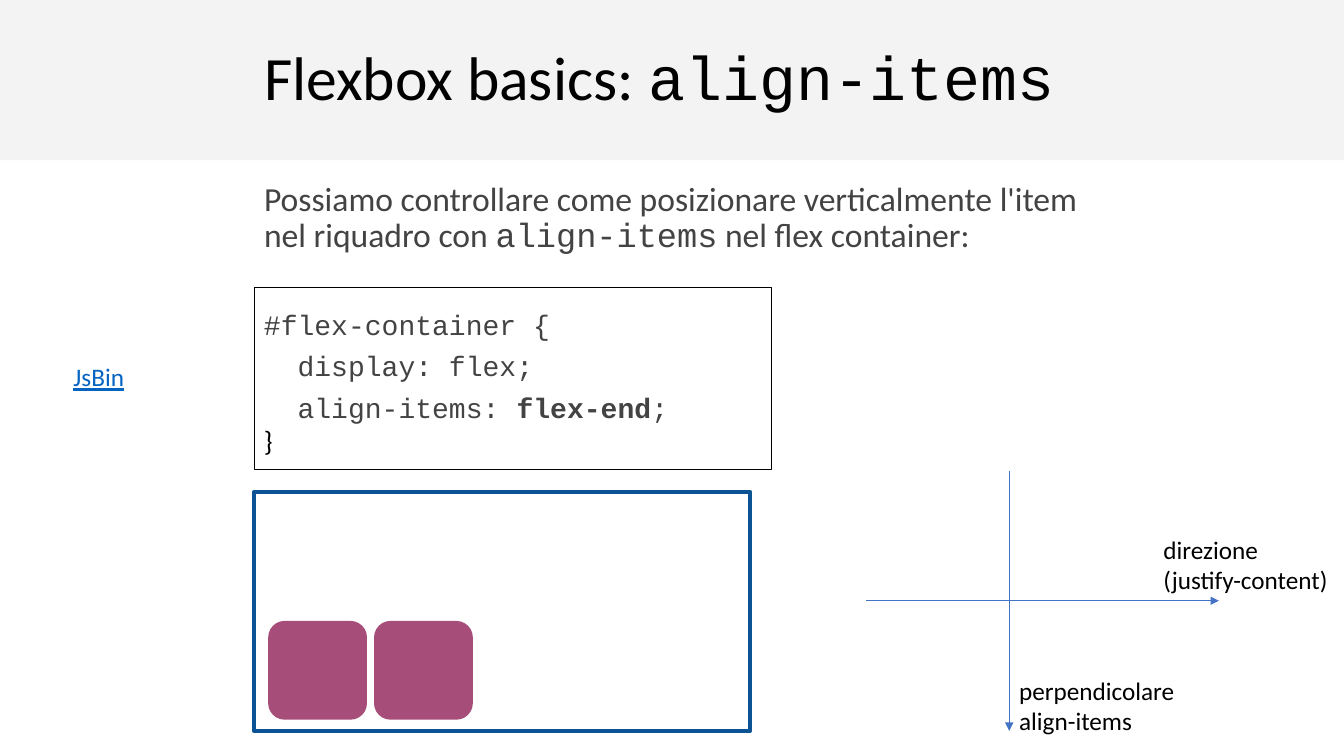
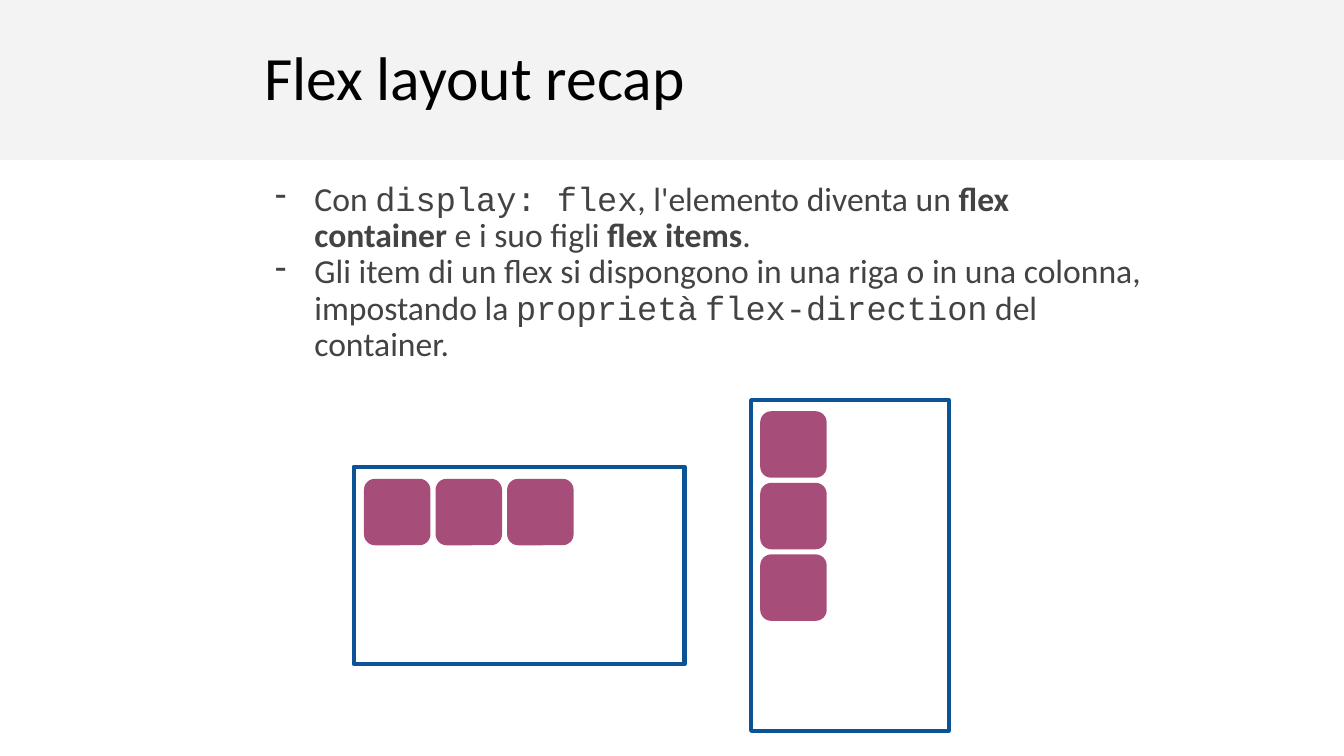
from lxml import etree
from pptx import Presentation
from pptx.dml.color import RGBColor
from pptx.enum.shapes import MSO_CONNECTOR, MSO_SHAPE
from pptx.enum.text import MSO_ANCHOR, PP_ALIGN
from pptx.oxml.ns import qn
from pptx.util import Emu, Pt

RECT, ROUNDED = MSO_SHAPE.RECTANGLE, MSO_SHAPE.ROUNDED_RECTANGLE
STRAIGHT = MSO_CONNECTOR.STRAIGHT
TOP, MIDDLE = MSO_ANCHOR.TOP, MSO_ANCHOR.MIDDLE
LEFT = PP_ALIGN.LEFT

PX = 9144  # 100 px to the inch
WIDTH, HEIGHT = 1333, 750
BLANK = 6
COLORS = {"band": "F3F3F3", "ink": "000000", "body": "434343", "white": "FFFFFF",
          "frame": "0B5394", "item": "A64D79", "link": "0563C1", "axis": "4472C4"}
SANS, MONO = "Calibri", "Courier New"

TITLE = {"size": 44, "color": "ink"}
BODY = {"size": 24, "color": "body"}
CODE = {"size": 20, "color": "body", "font": MONO}
LABEL = {"size": 18, "color": "ink"}
MONO_RUN, BOLD_RUN = {"font": MONO}, {"bold": True}

# A paragraph is a list of (text, changes to the style of its box).
ALIGN = {
    "title": [("Flexbox basics: ", {}), ("align-items", MONO_RUN)],
    "body": [[("Possiamo controllare come posizionare verticalmente l'item nel riquadro con ", {}),
              ("align-items", MONO_RUN), (" nel flex container:", {})]],
    "code": [[("#flex-container {", {})],
             [("  display: flex;", {})],
             [("  align-items: ", {}), ("flex-end", BOLD_RUN), (";", {})]],
    "code_end": [("}", {"font": SANS, "color": "ink"})],
    "labels": [
        ((63, 354, 72, 40), ["JsBin"], {"color": "link", "underline": True}),
        ((1144, 525, 185, 71), ["direzione", "(justify-content)"], {}),
        ((1001, 665, 176, 71), ["perpendicolare", "align-items"], {}),
    ],
    "axes": [(859, 596, 1209, 596), (1001, 467, 1001, 725)],
}
RECAP = {
    "title": [("Flex layout recap", {})],
    "body": [
        [("Con ", {}), ("display: flex", MONO_RUN), (", l'elemento diventa un ", {}),
         ("flex container ", BOLD_RUN), ("e i suo figli ", {}),
         ("flex items", BOLD_RUN), (".", {})],
        [("Gli item di un flex si dispongono in una riga o in una colonna, impostando la ", {}),
         ("proprietà", MONO_RUN), (" ", {}), ("flex-direction", MONO_RUN),
         (" del container.", {})],
    ],
}
# Each diagram: frame box, first item, item side, step along x and y, item count.
ALIGN_DIAGRAMS = [((252, 488, 492, 237), (266, 616), 98, (105, 0), 2)]
RECAP_DIAGRAMS = [((351, 463, 328, 196), (361, 475), 66, (71, 0), 3),
                  ((745, 397, 196, 328), (754, 408), 66, (0, 71), 3)]


def px(*lengths):
    return [Emu(n * PX) for n in lengths]


def rgb(name):
    return RGBColor.from_string(COLORS[name])


def add_box(s, kind, box, fill=None, line=None, weight=0):
    sp = s.shapes.add_shape(kind, *px(*box))
    sp.shadow.inherit = False
    if fill:
        sp.fill.solid()
        sp.fill.fore_color.rgb = rgb(fill)
    else:
        sp.fill.background()
    if line:
        sp.line.color.rgb = rgb(line)
        sp.line.width = Pt(weight)
    else:
        sp.line.fill.background()
    return sp


def set_bullet(p):
    pPr = p._p.get_or_add_pPr()
    for name, length in (("marL", 50), ("indent", -39)):
        pPr.set(name, str(length * PX))
    color = etree.SubElement(pPr, qn("a:buClr"))
    etree.SubElement(color, qn("a:srgbClr"), val=COLORS["body"])
    etree.SubElement(pPr, qn("a:buChar"), char="-")


def write(sp, paragraphs, style, spacing=1.0, anchor=TOP, inset=(10, 10), wrap=True, bullets=False):
    tf = sp.text_frame
    tf.word_wrap, tf.vertical_anchor = wrap, anchor
    tf.margin_left, tf.margin_top = tf.margin_right, tf.margin_bottom = px(*inset)
    for i, runs in enumerate(paragraphs):
        p = tf.paragraphs[0] if i == 0 else tf.add_paragraph()
        if bullets:
            set_bullet(p)
        p.alignment, p.line_spacing = LEFT, spacing
        for text, changes in runs:
            r = p.add_run()
            r.text = text
            look = {"font": SANS, **style, **changes}
            r.font.name, r.font.size = look["font"], Pt(look["size"])
            r.font.color.rgb = rgb(look["color"])
            for name in ("bold", "underline"):
                setattr(r.font, name, look.get(name, False))
    return tf


def add_text(s, box, paragraphs, style, **layout):
    write(s.shapes.add_textbox(*px(*box)), paragraphs, style, **layout)


def add_axis(s, ends):
    line = s.shapes.add_connector(STRAIGHT, *px(*ends))
    line.line.color.rgb = rgb("axis")
    line.line.width = Pt(0.5)
    etree.SubElement(line.line._get_or_add_ln(), qn("a:tailEnd"), type="triangle")
    etree.SubElement(line._element.spPr, qn("a:effectLst"))


def add_diagram(s, frame, first, side, step, count):
    """Draw a flex container with its items laid out at an equal step."""
    sp = add_box(s, RECT, frame, "white", "frame", 3)
    etree.SubElement(sp.line._get_or_add_ln(), qn("a:round"))
    for i in range(count):
        left, top = (start + i * move for start, move in zip(first, step))
        add_box(s, ROUNDED, (left, top, side, side), "item")


def add_slide(prs, content, body_size, diagrams, bullets=False):
    s = prs.slides.add_slide(prs.slide_layouts[BLANK])
    add_box(s, RECT, (0, 0, WIDTH, 159), "band")
    add_text(s, (252, 38, 829, 83), [content["title"]], TITLE, spacing=0.9, anchor=MIDDLE)
    add_text(s, (252, 171, *body_size), content["body"], BODY, spacing=0.9, bullets=bullets)
    for diagram in diagrams:
        add_diagram(s, *diagram)
    return s


def add_align_details(s):
    code = add_box(s, RECT, (252, 285, 513, 181), line="ink", weight=0.75)
    tf = write(code, ALIGN["code"] + [ALIGN["code_end"]], CODE, spacing=1.23, anchor=MIDDLE)
    tf.paragraphs[-1].line_spacing = 1.0
    for box, lines, changes in ALIGN["labels"]:
        add_text(s, box, [[(line, changes)] for line in lines], LABEL, inset=(10, 5), wrap=False)
    for ends in ALIGN["axes"]:
        add_axis(s, ends)


def main():
    prs = Presentation()
    prs.slide_width, prs.slide_height = px(WIDTH, HEIGHT)
    add_align_details(add_slide(prs, ALIGN, (829, 98), ALIGN_DIAGRAMS))
    add_slide(prs, RECAP, (893, 194), RECAP_DIAGRAMS, bullets=True)
    prs.save("out.pptx")


if __name__ == "__main__":
    main()
